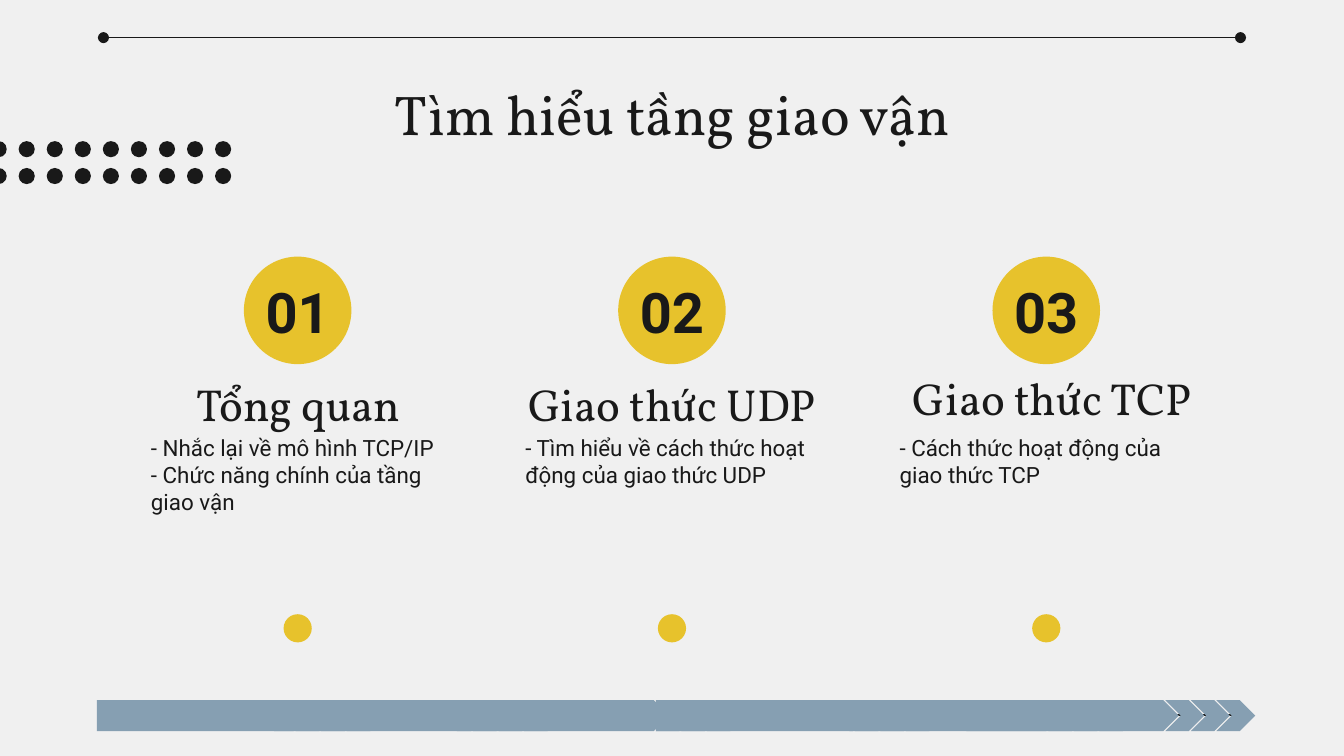
from lxml import etree
from pptx import Presentation
from pptx.dml.color import RGBColor
from pptx.enum import shapes, text
from pptx.oxml import ns
from pptx.util import Inches, Pt

COLOURS = {"paper": "F0F0F0", "ink": "191919", "accent": "E7C22C", "band": "869FB2"}
FORMATS = {
    "title": {"name": "Vollkorn", "size": Pt(30), "bold": False},
    "heading": {"name": "Vollkorn", "size": Pt(24), "bold": False},
    "number": {"name": "Roboto", "size": Pt(30), "bold": True},
    "body": {"name": "Roboto", "size": Pt(12), "bold": False},
}
SHAPE = shapes.MSO_SHAPE
ANCHOR = text.MSO_ANCHOR
ALIGN = text.PP_ALIGN


class SlideBuilder:
    def __init__(self, width):
        self.deck = Presentation()
        self.deck.slide_width = Inches(width)
        self.deck.slide_height = Inches(width * 9 / 16)
        self.page = self.deck.slides.add_slide(self.deck.slide_layouts[6])
        background = self.page.background.fill
        background.solid()
        background.fore_color.rgb = self.colour("paper")

    def colour(self, name):
        return RGBColor.from_string(COLOURS[name])

    def group(self):
        return self.page.shapes.add_group_shape()

    def shape(self, kind, left, top, width, height, colour, parent=None):
        owner = parent or self.page
        shape = owner.shapes.add_shape(
            kind, Inches(left), Inches(top), Inches(width), Inches(height))
        shape.shadow.inherit = False
        shape.fill.solid()
        shape.fill.fore_color.rgb = self.colour(colour)
        shape.line.fill.background()
        return shape

    def circle(self, centre, top, size, colour, parent=None):
        return self.shape(SHAPE.OVAL, centre - size / 2, top, size, size, colour, parent)

    def text(self, left, top, width, height, lines, style,
             anchor=ANCHOR.TOP, align=ALIGN.CENTER):
        box = self.page.shapes.add_textbox(
            Inches(left), Inches(top), Inches(width), Inches(height))
        frame = box.text_frame
        settings = {"word_wrap": True, "vertical_anchor": anchor}
        for side in ("left", "top", "right", "bottom"):
            settings[f"margin_{side}"] = Inches(0.1)
        for name, value in settings.items():
            setattr(frame, name, value)
        for index, line in enumerate(lines):
            para = frame.add_paragraph() if index else frame.paragraphs[0]
            para.alignment = align
            span = para.add_run()
            span.text = line
            for name, value in FORMATS[style].items():
                setattr(span.font, name, value)
            span.font.color.rgb = self.colour("ink")

    def rule(self, left, right, y):
        rule = self.page.shapes.add_connector(
            shapes.MSO_CONNECTOR.STRAIGHT, Inches(left), Inches(y), Inches(right), Inches(y))
        rule.line.width = Pt(0.75)
        rule.line.color.rgb = self.colour("ink")
        outline = rule.line._get_or_add_ln()
        for end in ("a:headEnd", "a:tailEnd"):
            etree.SubElement(outline, ns.qn(end), type="oval")
        etree.SubElement(rule._element.spPr, ns.qn("a:effectLst"))

    def dot_grid(self, first_centre, last_centre, tops, columns, size):
        dots = self.group()
        pitch = (last_centre - first_centre) / (columns - 1)
        for column in range(columns):
            for top in tops:
                self.circle(first_centre + column * pitch, top, size, "ink", dots)

    def arrow_band(self, left, top, height):
        band = self.group()
        self.shape(SHAPE.PENTAGON, left, top, 1.58, height, "band", band)
        for index in range(3):
            self.shape(SHAPE.CHEVRON, left + 1.48 + index * 0.19, top,
                       0.29, height, "band", band)

    def save(self):
        self.deck.save("out.pptx")


def main():
    topics = [
        ("Tổng quan", 2.38, 2.22, 2.72,
         ["- Nhắc lại về mô hình TCP/IP", "- Chức năng chính của tầng giao vận"]),
        ("Giao thức UDP", 2.55, 5, 2.72,
         ["- Tìm hiểu về cách thức hoạt động của giao thức UDP"]),
        ("Giao thức TCP", 2.46, 7.83, 2.68,
         ["- Cách thức hoạt động của giao thức TCP"]),
    ]
    column_pitch = 5.57 / 2
    slide = SlideBuilder(10)
    slide.text(0.79, 0.49, 8.43, 0.63, ["Tìm hiểu tầng giao vận"], "title")

    for index, (heading, width, heading_centre, heading_top, body) in enumerate(topics):
        centre = 5 + (index - 1) * column_pitch
        slide.circle(centre, 1.91, 0.8, "accent")
        slide.text(centre - 0.4, 2.07, 0.8, 0.49, [f"{index + 1:02}"], "number",
                   ANCHOR.MIDDLE)
        slide.text(heading_centre - width / 2, heading_top, width, 0.58, [heading],
                   "heading", ANCHOR.BOTTOM)
        slide.text(centre - 1.19, 3.13, 2.38, 1.36, body, "body", align=ALIGN.LEFT)
        slide.circle(centre, 4.57, 0.21, "accent")

    for y in (0.28, 5.32):
        slide.rule(0.77, 9.23, y)
    slide.dot_grid(-0.01, 1.66, (1.25, 1.05), 9, 0.12)
    for left in (0.72, 2.04, 3.4, 4.88, 6.32, 7.19):
        slide.arrow_band(left, 5.21, 0.23)
    slide.save()


if __name__ == "__main__":
    main()
